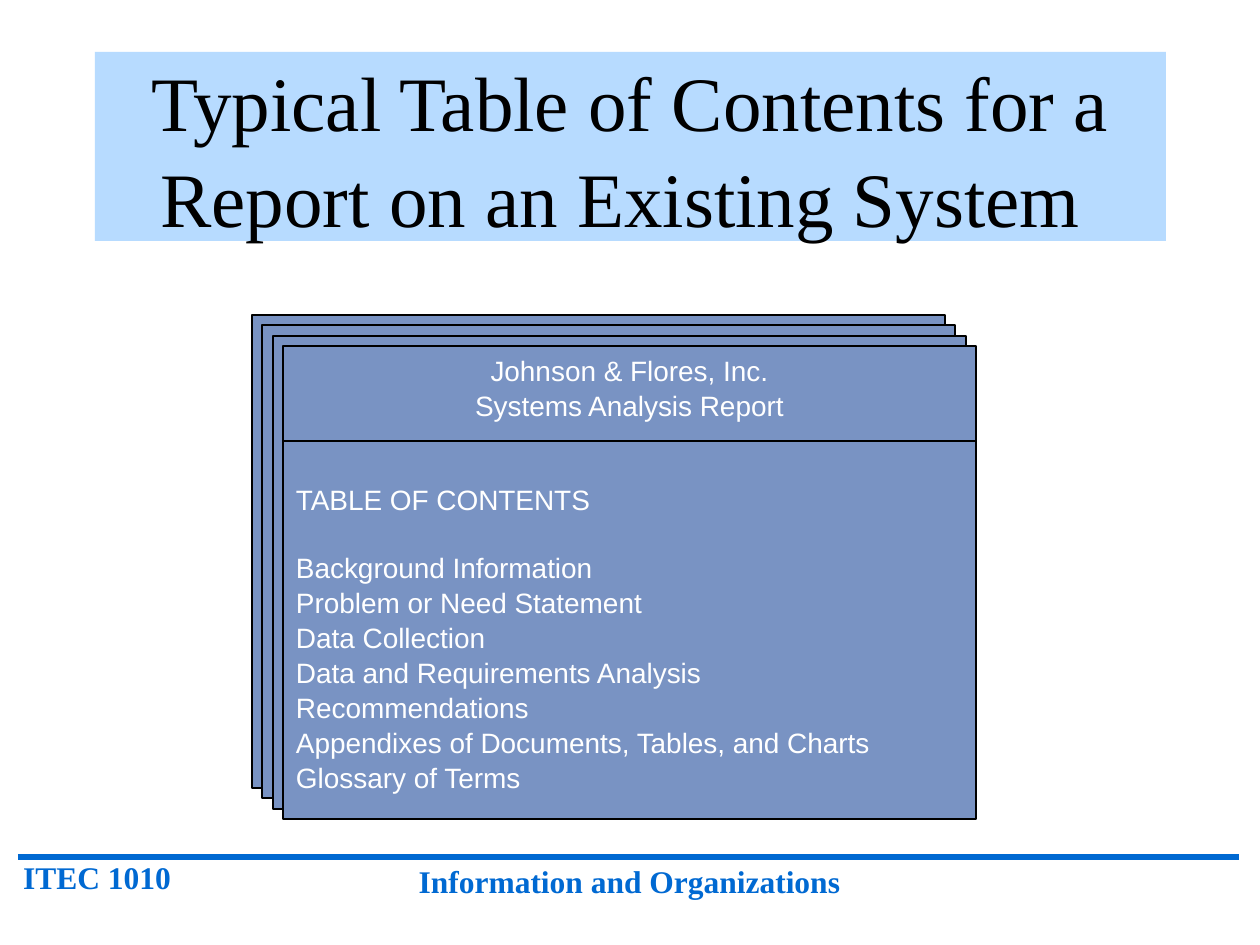
from dataclasses import dataclass

from pptx import Presentation
from pptx.dml.color import RGBColor
from pptx.enum.shapes import MSO_CONNECTOR, MSO_SHAPE
from pptx.enum.text import MSO_ANCHOR, PP_ALIGN
from pptx.oxml.ns import qn
from pptx.util import Emu, Pt
from lxml.etree import SubElement


@dataclass(frozen=True)
class Theme:
    brand: RGBColor = RGBColor.from_string("0069D2")
    banner: RGBColor = RGBColor.from_string("B7DBFF")
    page: RGBColor = RGBColor.from_string("7993C3")
    ink: RGBColor = RGBColor.from_string("000000")
    paper: RGBColor = RGBColor.from_string("FFFFFF")
    serif: str = "Times New Roman"
    sans: str = "Arial"
    title_size: int = 44
    footer_size: int = 18
    page_size: int = 16
    line_spacing: float = 1.04
    entry_gap: float = 19.2


THEME = Theme()
TITLE = "Typical Table of Contents for a Report on an Existing System "
REPORT_HEADER = ["Johnson & Flores, Inc.", "Systems Analysis Report"]
CONTENTS = [
    "TABLE OF CONTENTS",
    "Background Information",
    "Problem or Need Statement",
    "Data Collection",
    "Data and Requirements Analysis",
    "Recommendations",
    "Appendixes of Documents, Tables, and Charts",
    "Glossary of Terms",
]
FOOTERS = [
    ("ITEC 1010", (10, 851, 210, 50), PP_ALIGN.LEFT),
    ("Information and Organizations", (325, 855, 609, 50), PP_ALIGN.CENTER),
]
FOOTER_RULE = (18, 857, 1239, 857)
TITLE_BOX = (95, 52, 1071, 189)

STACK_LEFT, STACK_TOP = 252, 315
PAGE_WIDTH, PAGE_HEIGHT, HEADER_HEIGHT = 693, 473, 95
BACK_PAGES = 3
INSET_X, INSET_Y, CONTENTS_INSET_Y = 13, 6, 40


def px(value):
    return Emu(value * 914400 // 126)


def page_offset(index):
    return index * 21 // 2


def add_panel(slide, box, fill, outlined=True):
    panel = slide.shapes.add_shape(MSO_SHAPE.RECTANGLE, *map(px, box))
    panel.shadow.inherit = False
    panel.fill.solid()
    panel.fill.fore_color.rgb = fill
    if outlined:
        panel.line.color.rgb = THEME.ink
        panel.line.width = Pt(0.75)
    else:
        panel.line.fill.background()
    return panel


def write(holder, lines, *, size, font, color, bold=False, align=PP_ALIGN.LEFT,
          anchor=MSO_ANCHOR.TOP, inset_top=INSET_Y, gaps=None):
    frame = holder.text_frame
    frame.word_wrap = True
    frame.vertical_anchor = anchor
    frame.margin_left = frame.margin_right = px(INSET_X)
    frame.margin_top, frame.margin_bottom = px(inset_top), px(INSET_Y)
    for index, line in enumerate(lines):
        paragraph = frame.add_paragraph() if index else frame.paragraphs[0]
        paragraph.alignment = align
        paragraph.line_spacing = THEME.line_spacing
        paragraph.space_before = Pt((gaps or {}).get(index, 0))
        run = paragraph.add_run()
        run.text = line
        run.font.name = font
        run.font.size = Pt(size)
        run.font.bold = bold
        run.font.color.rgb = color


def add_footer(slide):
    rule = slide.shapes.add_connector(MSO_CONNECTOR.STRAIGHT, *map(px, FOOTER_RULE))
    rule.line.color.rgb = THEME.brand
    rule.line.width = Pt(3)
    SubElement(rule._element.spPr, qn("a:effectLst"))
    for label, box, align in FOOTERS:
        write(slide.shapes.add_textbox(*map(px, box)), [label], size=THEME.footer_size,
              font=THEME.serif, color=THEME.brand, bold=True, align=align)


def add_report(slide):
    for index in range(BACK_PAGES):
        offset = page_offset(index)
        add_panel(slide, (STACK_LEFT + offset, STACK_TOP + offset, PAGE_WIDTH, PAGE_HEIGHT),
                  THEME.page)
    left, top = (start + page_offset(BACK_PAGES) for start in (STACK_LEFT, STACK_TOP))
    page_text = dict(size=THEME.page_size, font=THEME.sans, color=THEME.paper)
    header = add_panel(slide, (left, top, PAGE_WIDTH, HEADER_HEIGHT), THEME.page)
    write(header, REPORT_HEADER, align=PP_ALIGN.CENTER, **page_text)
    contents = add_panel(slide, (left, top + HEADER_HEIGHT, PAGE_WIDTH,
                                 PAGE_HEIGHT - HEADER_HEIGHT), THEME.page)
    write(contents, CONTENTS, inset_top=CONTENTS_INSET_Y,
          gaps={1: THEME.entry_gap}, **page_text)


def main():
    deck = Presentation()
    deck.slide_width, deck.slide_height = px(1260), px(945)
    slide = deck.slides.add_slide(deck.slide_layouts[6])
    add_footer(slide)
    title = add_panel(slide, TITLE_BOX, THEME.banner, outlined=False)
    write(title, [TITLE], size=THEME.title_size, font=THEME.serif, color=THEME.ink,
          align=PP_ALIGN.CENTER, anchor=MSO_ANCHOR.MIDDLE)
    add_report(slide)
    deck.save("out.pptx")


if __name__ == "__main__":
    main()
